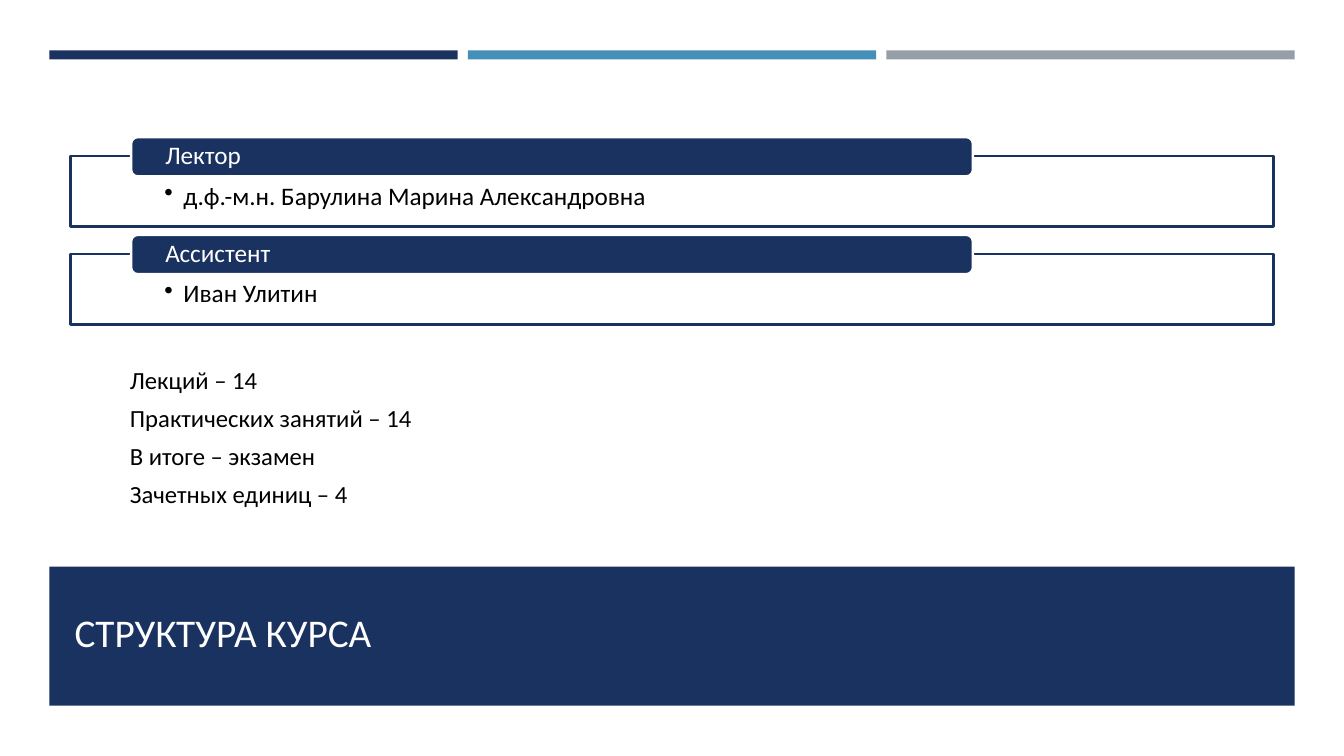
from lxml import etree
from pptx import Presentation
from pptx.dml.color import RGBColor
from pptx.enum.shapes import MSO_SHAPE
from pptx.enum.text import MSO_ANCHOR, MSO_AUTO_SIZE, PP_ALIGN
from pptx.oxml.ns import qn
from pptx.util import Emu, Pt

RECTANGLE, ROUNDED = MSO_SHAPE.RECTANGLE, MSO_SHAPE.ROUNDED_RECTANGLE
TOP, MIDDLE, BOTTOM = MSO_ANCHOR.TOP, MSO_ANCHOR.MIDDLE, MSO_ANCHOR.BOTTOM
LEFT = PP_ALIGN.LEFT
FIXED = MSO_AUTO_SIZE.NONE
TITLE_ONLY = 5
EMU_PER_PX = 9144

NAVY, BLUE, GREY = "1A3260", "4590B8", "969FA7"
WHITE, BLACK = "FFFFFF", "000000"


def px(length):
    return Emu(length * EMU_PER_PX)


def color(value):
    return RGBColor.from_string(value)


class SlideBuilder:
    font = "Calibri"
    line_width = 1.75

    def __init__(self, deck):
        self.page = deck.slides.add_slide(deck.slide_layouts[TITLE_ONLY])

    def fill_text(self, box, lines, size=18, ink=BLACK, anchor=TOP, insets=(10, 5, 10, 5),
                  margin=0, hanging=0, bullet=None, spacing=1.0, after=0):
        frame = box.text_frame
        frame.word_wrap = True
        frame.auto_size = FIXED
        frame.vertical_anchor = anchor
        (frame.margin_left, frame.margin_top,
         frame.margin_right, frame.margin_bottom) = map(px, insets)
        for index, line in enumerate(lines):
            para = frame.add_paragraph() if index else frame.paragraphs[0]
            para.alignment = LEFT
            para.line_spacing = spacing
            para.space_after = Pt(after)
            properties = para._p.get_or_add_pPr()
            properties.set("marL", str(px(margin)))
            properties.set("indent", str(px(-hanging)))
            if bullet:
                etree.SubElement(properties, qn("a:buChar")).set("char", bullet)
            span = para.add_run()
            span.text = line
            span.font.name = self.font
            span.font.size = Pt(size)
            span.font.color.rgb = color(ink)

    def shape(self, left, top, width, height, fill, line=None, kind=RECTANGLE):
        box = self.page.shapes.add_shape(kind, *map(px, (left, top, width, height)))
        box.shadow.inherit = False
        box.fill.solid()
        box.fill.fore_color.rgb = color(fill)
        if line:
            box.line.color.rgb = color(line)
            box.line.width = Pt(self.line_width)
        else:
            box.line.fill.background()
        return box

    def person(self, top, role, name):
        card = self.shape(70, top, 1193, 70, WHITE, NAVY)
        self.fill_text(card, [name], insets=(93, 27, 93, 14),
                       margin=19, hanging=19, bullet="•", spacing=0.9)
        tab = self.shape(130, top - 19, 835, 39, NAVY, WHITE, ROUNDED)
        self.fill_text(tab, [role], ink=WHITE, anchor=MIDDLE,
                       insets=(32, 0, 32, 0), spacing=0.9)

    def text(self, left, top, width, height, lines, **style):
        box = self.page.shapes.add_textbox(*map(px, (left, top, width, height)))
        self.fill_text(box, lines, **style)

    def title(self, left, top, width, height, words):
        box = self.page.shapes.title
        box.left, box.top, box.width, box.height = map(px, (left, top, width, height))
        self.page.shapes._spTree.append(box._element)
        self.fill_text(box, [words], size=28, ink="FFFEFF", anchor=BOTTOM)


def main():
    deck = Presentation()
    deck.slide_width, deck.slide_height = px(1333), px(750)
    slide = SlideBuilder(deck)

    for index, fill in enumerate((NAVY, BLUE, GREY)):
        slide.shape(49 + index * 415, 50, 405, 9, fill)

    slide.shape(49, 562, 1235, 138, NAVY)
    slide.title(64, 576, 1206, 79, "СТРУКТУРА КУРСА")

    people = (("Лектор", "д.ф.-м.н. Барулина Марина Александровна"),
              ("Ассистент", "Иван Улитин"))
    for index, (role, name) in enumerate(people):
        slide.person(155 + index * 97, role, name)

    slide.text(70, 357, 659, 154,
               ("Лекций – 14", "Практических занятий – 14",
                "В итоге – экзамен", "Зачетных единиц – 4"),
               size=17.6, margin=49, after=6)

    deck.save("out.pptx")


if __name__ == "__main__":
    main()
